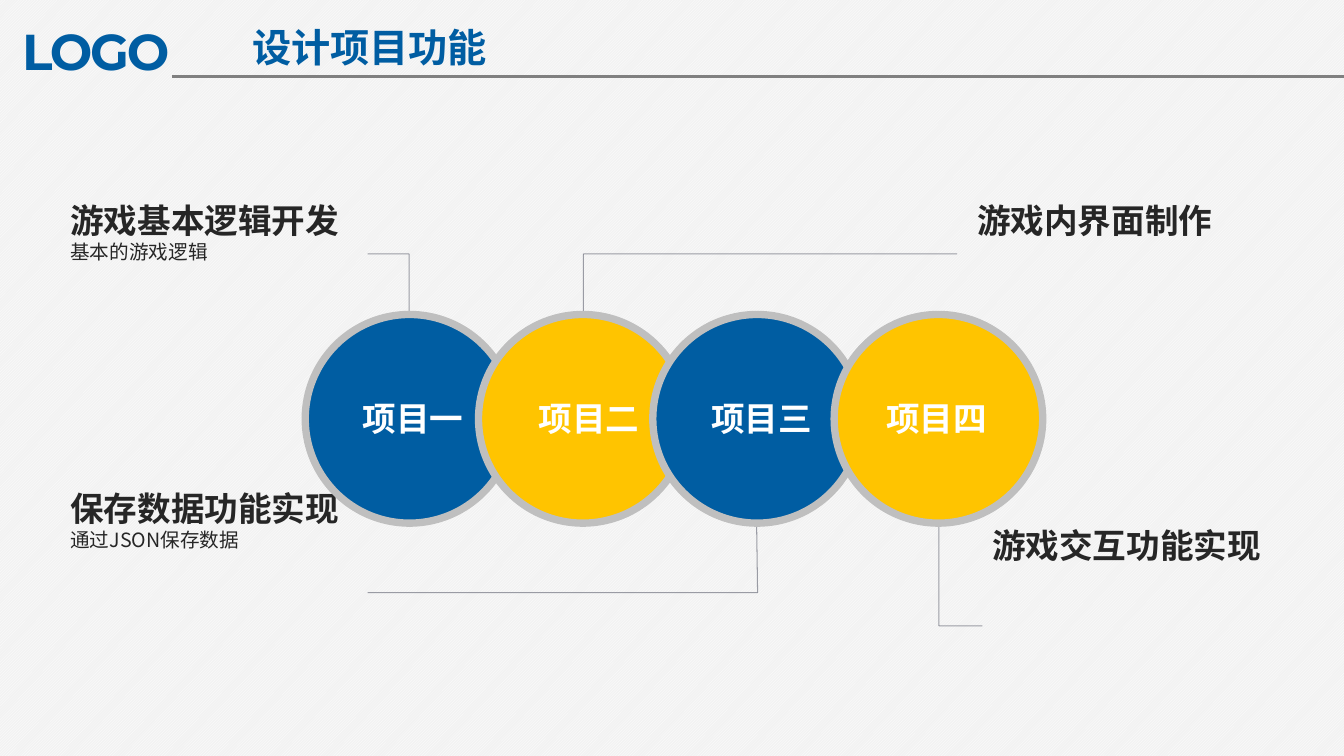
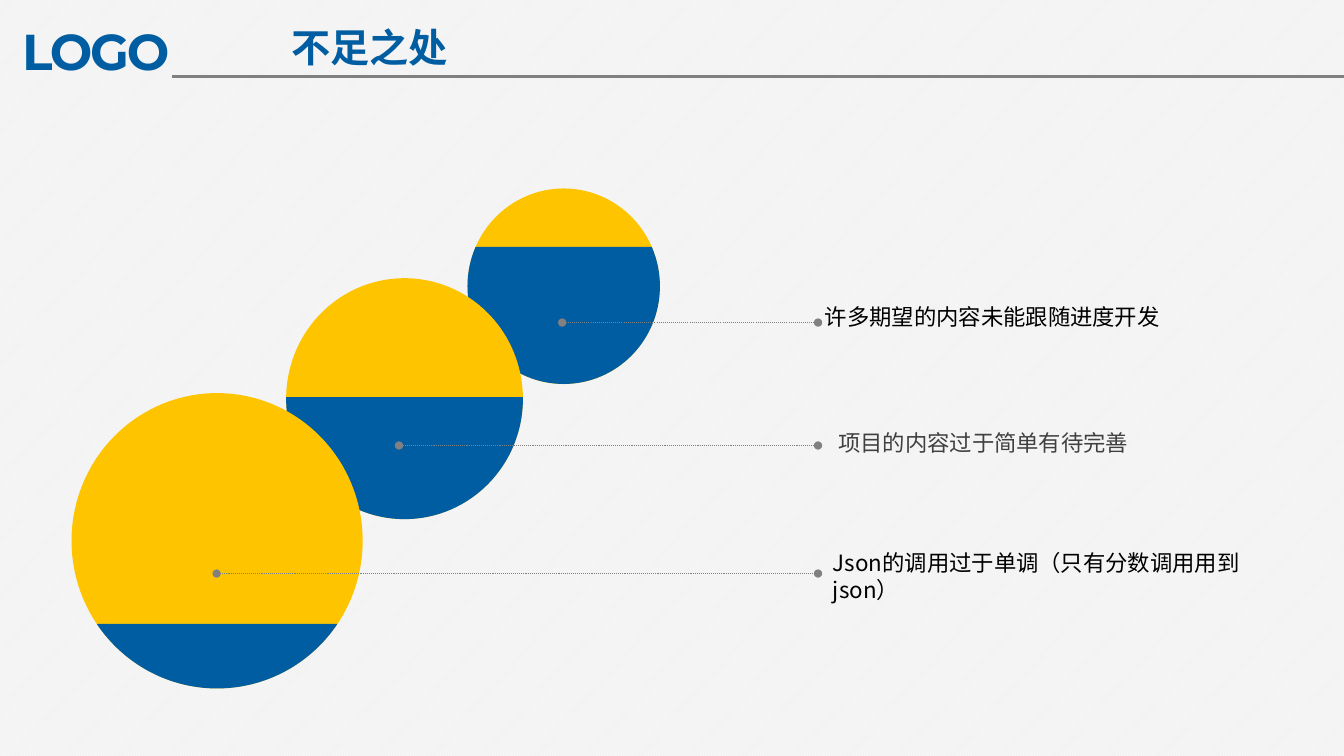
from math import asin, cos, pi, sin, tan
from lxml.etree import SubElement
from pptx import Presentation
from pptx.dml.color import RGBColor
from pptx.enum.dml import MSO_LINE, MSO_PATTERN
from pptx.enum.shapes import MSO_CONNECTOR, MSO_SHAPE
from pptx.enum.text import MSO_ANCHOR, PP_ALIGN
from pptx.oxml.ns import qn
from pptx.util import Inches, Pt

BLUE, GOLD, GRAY = "005DA2", "FFC400", "808080"
DARK, WHITE, BLACK = "262626", "FFFFFF", "000000"
SANS = "Noto Sans CJK SC"


def rgb(code):
    return RGBColor.from_string(code)


def write(shape, words, size=16, color=DARK, bold=False, font=SANS,
          align=PP_ALIGN.LEFT, lead=None, track=None, pad=(0.1, 0.05)):
    frame = shape.text_frame
    frame.word_wrap = True
    frame.vertical_anchor = MSO_ANCHOR.TOP
    frame.margin_left = frame.margin_right = Inches(pad[0])
    frame.margin_top = frame.margin_bottom = Inches(pad[1])
    para = frame.paragraphs[0]
    para.alignment = align
    if lead:
        para.line_spacing = lead
    run = para.add_run()
    run.text = words
    run.font.size = Pt(size)
    run.font.bold = bold
    run.font.name = font
    run.font.color.rgb = rgb(color)
    props = run.font._element
    SubElement(props, qn("a:ea")).set("typeface", font)
    if track:
        props.set("spc", str(track))


def text(slide, box, words, **style):
    write(slide.shapes.add_textbox(*map(Inches, box)), words, **style)


def paint(shape, color, edge=None):
    shape.shadow.inherit = False
    shape.fill.solid()
    shape.fill.fore_color.rgb = rgb(color)
    if edge:
        shape.line.color.rgb = rgb(edge)
        shape.line.width = Pt(5.25)
    else:
        shape.line.fill.background()


def form(slide, kind, box, color, edge=None):
    shape = slide.shapes.add_shape(kind, *map(Inches, box))
    paint(shape, color, edge)
    return shape


def rule(slide, start, end, color=GRAY, width=0.75, alpha=None, dots=False):
    line = slide.shapes.add_connector(
        MSO_CONNECTOR.STRAIGHT, *map(Inches, (*start, *end)))
    line.line.color.rgb = rgb(color)
    line.line.width = Pt(width)
    props = line._element.spPr
    if alpha:
        tint = props.find(".//" + qn("a:srgbClr"))
        SubElement(tint, qn("a:alpha")).set("val", str(alpha * 1000))
    if dots:
        line.line.dash_style = MSO_LINE.ROUND_DOT
        for tip in ("a:headEnd", "a:tailEnd"):
            SubElement(props.find(qn("a:ln")), qn(tip)).set("type", "oval")
    SubElement(props, qn("a:effectLst"))


def brand(slide, layout):
    for holder in list(layout.placeholders):
        layout.shapes.element.remove(holder._element)
    text(slide, (0.09, 0.13, 1.86, 0.74), "LOGO", size=36, color=BLUE,
         bold=True, font="Montserrat", track=-150, pad=(0.13, 0.07))
    rule(slide, (1.71, 0.76), (13.34, 0.76), width=2)
    for shape in list(slide.shapes):
        layout.shapes.element.append(shape._element)


def title(slide, words, high):
    text(slide, (1.87, 0.18, 3.6, high), words, size=28, color=BLUE,
         bold=True, align=PP_ALIGN.CENTER)


def note(slide, left, top, head, body=None, high=0):
    text(slide, (left, top, 3.05, 0.43), head, size=24, bold=True, lead=1.4)
    if body:
        text(slide, (left, top + 0.56, 3.05, high), body, size=14)


def elbow(slide, start, bend, end):
    for a, b in ((start, bend), (bend, end)):
        rule(slide, a, b, color="414455", alpha=50)


def disc(slide, left, top, shift, name, color):
    form(slide, MSO_SHAPE.OVAL, (left, top, 2.07, 2.07), color, "BFBFBF")
    label = form(slide, MSO_SHAPE.RECTANGLE,
                 (left + shift, top + 0.78, 1.34, 0.62), color)
    write(label, name, size=24, color=WHITE, bold=True)


def features(slide):
    title(slide, "设计项目功能", 1.04)
    note(slide, 0.6, 1.77, "游戏基本逻辑开发", "基本的游戏逻辑", 1.26)
    note(slide, 0.6, 4.63, "保存数据功能实现", "通过JSON保存数据", 1.38)
    note(slide, 9.6, 1.77, "游戏内界面制作")
    note(slide, 9.75, 5, "游戏交互功能实现")
    top, base = 3.12, 5.19
    for x, y, bend, end in (
            (4.06, top, (4.06, 2.52), 3.65), (5.79, top, (5.79, 2.52), 9.5),
            (7.51, base, (7.52, 5.88), 3.65), (9.32, base, (9.32, 6.21), 9.75)):
        elbow(slide, (x, y), bend, (end, bend[1]))
    for left, shift, name, color in (
            (3.03, 0.47, "项目一", BLUE), (4.75, 0.5, "项目二", GOLD),
            (6.48, 0.48, "项目三", BLUE), (8.28, 0.42, "项目四", GOLD)):
        disc(slide, left, top, shift, name, color)


def ball(slide, box, cut):
    form(slide, MSO_SHAPE.OVAL, box, GOLD)
    left, top, wide, high = box
    rx, ry = wide / 2, high / 2
    low = asin((cut - top) / ry - 1)
    turns = [low, *(t for t in (0, pi / 2, pi) if low < t < pi - low), pi - low]

    def spot(turn, pull=0):
        return (Inches(left + rx * (1 + cos(turn) - pull * sin(turn))),
                Inches(top + ry * (1 + sin(turn) + pull * cos(turn))))

    nodes = [spot(turn) for turn in turns]
    pen = slide.shapes.build_freeform(*nodes[0])
    pen.add_line_segments(nodes[1:], close=True)
    bowl = pen.convert_to_shape()
    paint(bowl, BLUE)
    lines = bowl._element.spPr.findall(".//" + qn("a:lnTo"))
    for line, a, b in zip(lines, turns, turns[1:]):
        pull = 4 / 3 * tan((b - a) / 4)
        curve = line.makeelement(qn("a:cubicBezTo"))
        for x, y in (spot(a, pull), spot(b, -pull), spot(b)):
            dot = SubElement(curve, qn("a:pt"))
            dot.set("x", str(x - bowl.left))
            dot.set("y", str(y - bowl.top))
        line.getparent().replace(line, curve)


def limits(slide):
    title(slide, "不足之处", 0.57)
    for box, cut in (((4.64, 1.87, 1.91, 1.94), 2.45),
                     ((2.84, 2.76, 2.35, 2.39), 3.94),
                     ((0.71, 3.9, 2.89, 2.93), 6.19)):
        ball(slide, box, cut)
    for x, y in ((5.58, 3.2), (3.96, 4.42), (2.15, 5.69)):
        rule(slide, (x, y), (8.12, y), dots=True)
    text(slide, (8.21, 4.13, 4.42, 0.46), "项目的内容过于简单有待完善",
         color="404040", lead=1.3, pad=(0.11, 0.05))
    text(slide, (8.17, 5.4, 4.57, 0.64),
         "Json的调用过于单调（只有分数调用用到json）", color=BLACK)
    text(slide, (8.09, 2.96, 4.25, 0.37), "许多期望的内容未能跟随进度开发",
         color=BLACK)


def main():
    deck = Presentation()
    deck.slide_width, deck.slide_height = Inches(13.34), Inches(7.5)
    fill = deck.slide_master.background.fill
    fill.patterned()
    fill.pattern = MSO_PATTERN.LIGHT_UPWARD_DIAGONAL
    fill.fore_color.rgb = rgb(WHITE)
    fill.back_color.rgb = rgb("F2F2F2")
    blank = deck.slide_layouts[6]
    first, last = (deck.slides.add_slide(blank) for _ in range(2))
    brand(first, blank)
    features(first)
    limits(last)
    deck.save("out.pptx")


if __name__ == "__main__":
    main()
